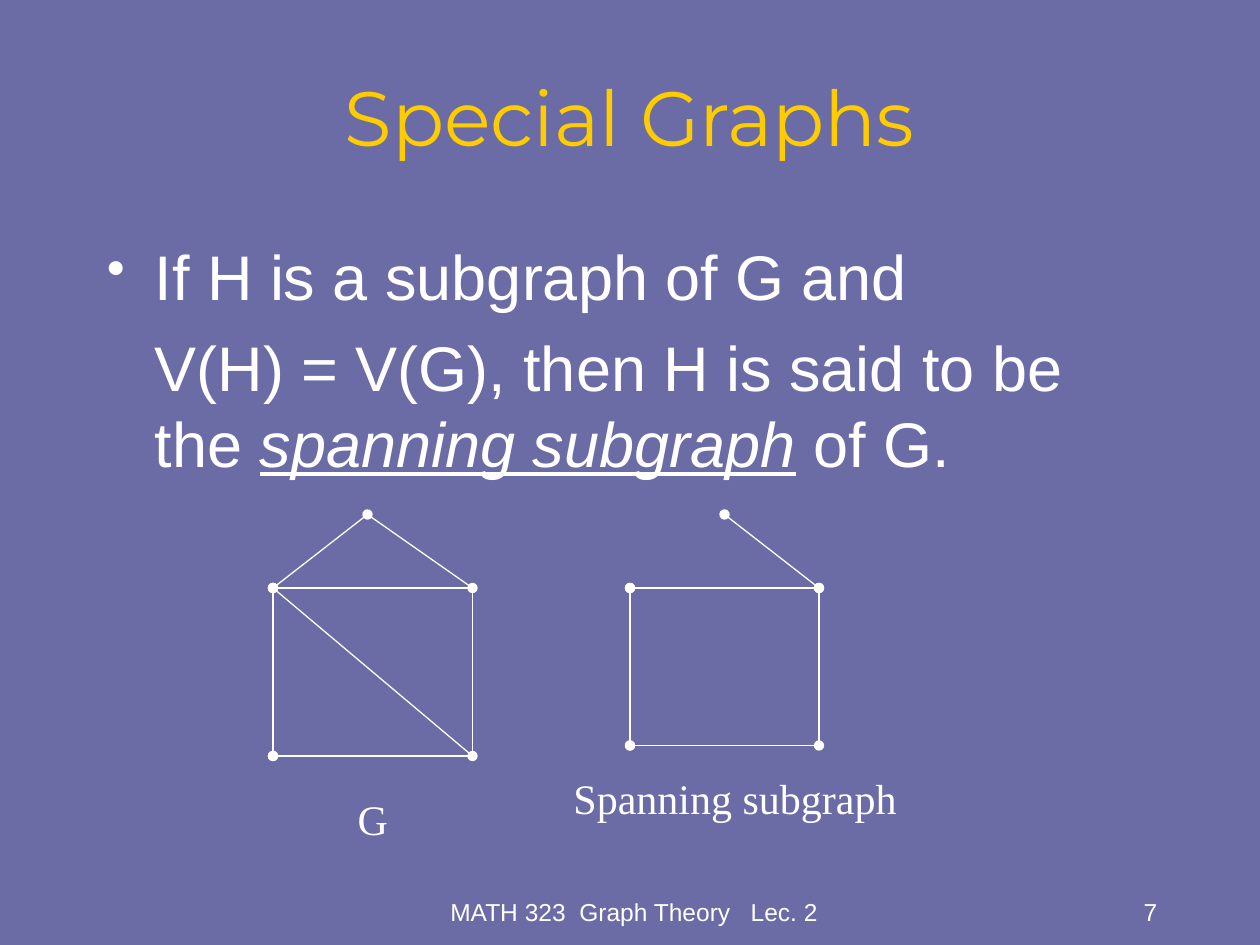
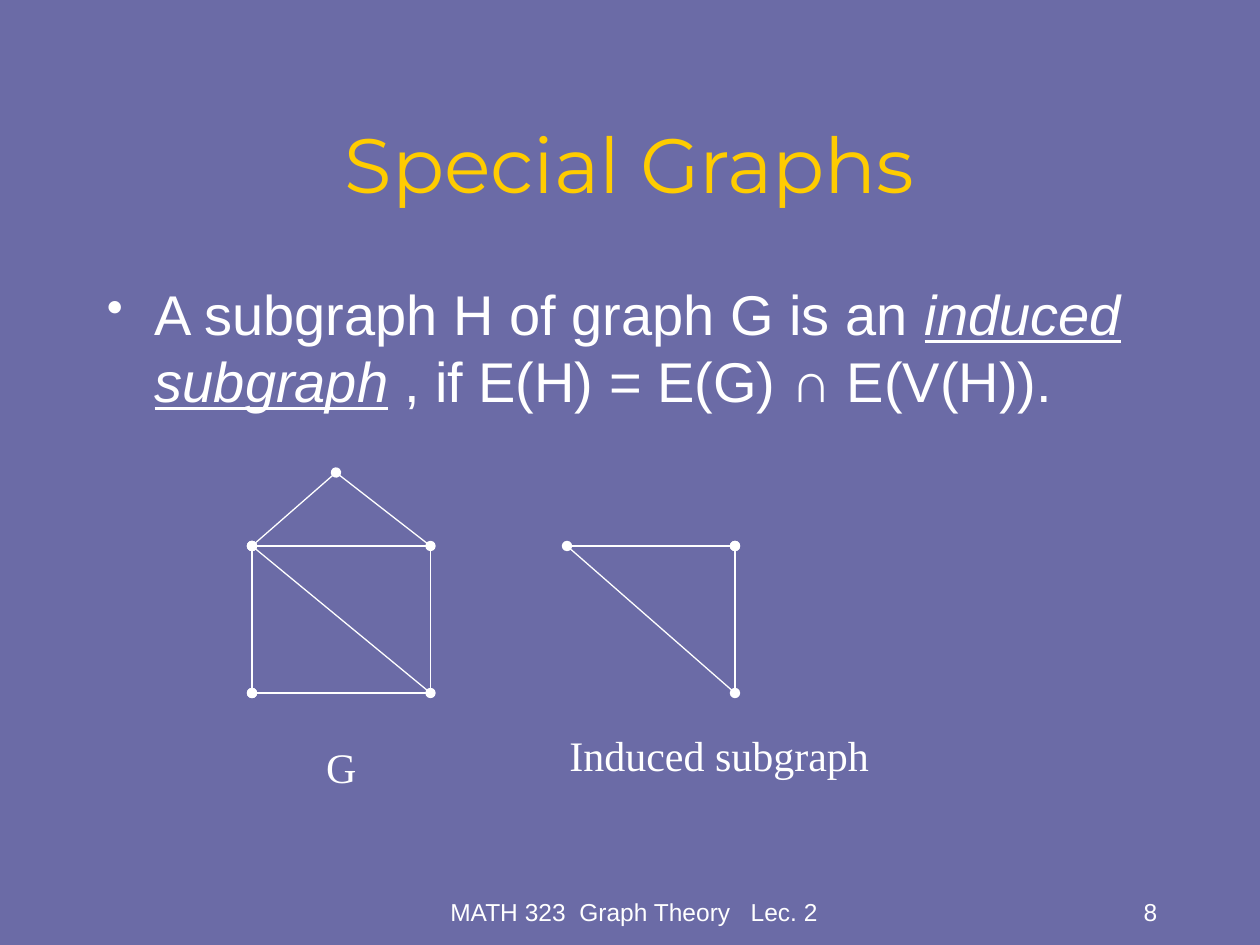
from collections import namedtuple
from dataclasses import dataclass

from lxml import etree
from pptx import Presentation
from pptx.dml.color import RGBColor
from pptx.enum.shapes import MSO_CONNECTOR
from pptx.enum.text import MSO_ANCHOR, PP_ALIGN
from pptx.oxml.ns import qn
from pptx.util import Inches, Pt

LEFT, CENTER, RIGHT = PP_ALIGN.LEFT, PP_ALIGN.CENTER, PP_ALIGN.RIGHT
TOP, MIDDLE, BOTTOM = MSO_ANCHOR.TOP, MSO_ANCHOR.MIDDLE, MSO_ANCHOR.BOTTOM
STRAIGHT = MSO_CONNECTOR.STRAIGHT

# The grid has twelve cells to the inch; boxes are given in cells
CELL = Inches(1) // 12
COLUMNS, ROWS = 120, 90
Box = namedtuple("Box", "left top width height")


@dataclass(frozen=True)
class Theme:
    background: RGBColor = RGBColor(0x6B, 0x6B, 0xA6)
    title: RGBColor = RGBColor(0xFF, 0xCC, 0x00)
    ink: RGBColor = RGBColor(0xFF, 0xFF, 0xFF)
    title_font: str = "Montserrat"
    body_font: str = "Arial"
    label_font: str = "Times New Roman"
    title_size: int = 44
    label_size: int = 24
    footer_size: int = 14
    line_width: float = 0.75


THEME = Theme()
HANGING = Inches(0.38)
FOOTER = Box(41.4, 82.8, 38, 6)
NUMBER = Box(86.4, 82.8, 25, 6)

# Edges between the corners of a house; the roof is always seven rows high
ROOF = 7
TOP_EDGE, LEFT_EDGE = ("top left", "top right"), ("top left", "bottom left")
BOTTOM_EDGE, RIGHT_EDGE = ("bottom left", "bottom right"), ("bottom right", "top right")
ROOF_LEFT, ROOF_RIGHT = ("top left", "apex"), ("top right", "apex")
DIAGONAL = ("top left", "bottom right")
SQUARE = [TOP_EDGE, LEFT_EDGE, BOTTOM_EDGE, RIGHT_EDGE]
WHOLE = SQUARE + [ROOF_LEFT, ROOF_RIGHT, DIAGONAL]
SPANNING = SQUARE + [ROOF_RIGHT]
INDUCED = [TOP_EDGE, RIGHT_EDGE, DIAGONAL]


def cells(*counts):
    return [round(count * CELL) for count in counts]


def style(font, name, size, color):
    font.name, font.size = name, Pt(size)
    font.color.rgb = color


def add_text(page, box, text, name, size, color=THEME.ink, align=CENTER, anchor=TOP):
    frame = page.shapes.add_textbox(*cells(*box)).text_frame
    frame.word_wrap = True
    frame.vertical_anchor = anchor
    para = frame.paragraphs[0]
    para.text, para.alignment = text, align
    style(para.runs[0].font, name, size, color)


def add_bullet(para):
    props = para._p.get_or_add_pPr()
    color = etree.SubElement(props, qn("a:buClr"))
    etree.SubElement(color, qn("a:srgbClr"), val=str(THEME.ink))
    etree.SubElement(props, qn("a:buSzPct"), val="85000")
    etree.SubElement(props, qn("a:buChar"), char="•")


def add_body(page, box, paragraphs, size):
    """Each paragraph is a list of spans; odd spans are defined terms."""
    frame = page.shapes.add_textbox(*cells(*box)).text_frame
    frame.word_wrap = True
    for row, spans in enumerate(paragraphs):
        para = frame.add_paragraph() if row else frame.paragraphs[0]
        props = para._p.get_or_add_pPr()
        props.set("marL", str(HANGING))
        if row:
            para.space_before = Pt(size / 4)
        else:
            props.set("indent", str(-HANGING))
            add_bullet(para)
        for index, text in enumerate(spans):
            span = para.add_run()
            span.text = text
            style(span.font, THEME.body_font, size, THEME.ink)
            if index % 2:
                span.font.italic = span.font.underline = True


def add_edge(page, start, end, dotted):
    edge = page.shapes.add_connector(STRAIGHT, *cells(*start, *end))
    edge.line.color.rgb = THEME.ink
    edge.line.width = Pt(THEME.line_width)
    if dotted:
        line = edge.line._get_or_add_ln()
        for tip in ("a:headEnd", "a:tailEnd"):
            etree.SubElement(line, qn(tip), type="oval")
    etree.SubElement(edge._element.spPr, qn("a:effectLst"))


def add_graph(page, box, edges, label, label_box):
    right, bottom = box.left + box.width, box.top + box.height
    eaves = box.top + ROOF
    vertices = {
        "apex": (box.left + box.width // 2, box.top),
        "top left": (box.left, eaves), "top right": (right, eaves),
        "bottom left": (box.left, bottom), "bottom right": (right, bottom),
    }
    # An edge carries dots when it reaches a vertex that has none yet
    marked = set()
    for edge in edges:
        dotted = not marked.issuperset(edge)
        if dotted:
            marked.update(edge)
        add_edge(page, *(vertices[name] for name in edge), dotted)
    add_text(page, label_box, label, THEME.label_font, THEME.label_size)


def add_page(deck, number, title_top, body_top, paragraphs, size, graphs):
    page = deck.slides.add_slide(deck.slide_layouts[6])
    page.background.fill.solid()
    page.background.fill.fore_color.rgb = THEME.background
    # Title and definition
    add_text(page, Box(9, title_top, 102, 10), "Special Graphs", THEME.title_font,
             THEME.title_size, THEME.title, anchor=MIDDLE)
    add_body(page, Box(9, body_top, 102, 54), paragraphs, size)
    # Footer
    for box, text, align in ((FOOTER, "MATH 323  Graph Theory   Lec. 2", CENTER),
                             (NUMBER, str(number), RIGHT)):
        add_text(page, box, text, THEME.body_font, THEME.footer_size,
                 align=align, anchor=BOTTOM)
    # Graphs
    for graph in graphs:
        add_graph(page, *graph)


def main():
    deck = Presentation()
    deck.slide_width, deck.slide_height = cells(COLUMNS, ROWS)
    add_page(
        deck, 7, 6, 22,
        [["If H is a subgraph of G and"],
         ["V(H) = V(G), then H is said to be the ", "spanning subgraph", " of G."]],
        36,
        [(Box(26, 49, 19, 23), WHOLE, "G", Box(32, 75, 7, 6)),
         (Box(60, 49, 18, 22), SPANNING, "Spanning subgraph", Box(53, 73, 34, 6))])
    add_page(
        deck, 8, 10.5, 26,
        [["A subgraph H of graph G is an ", "induced subgraph",
          " , if E(H) = E(G) ∩ E(V(H))."]],
        32,
        [(Box(24, 45, 17, 21), WHOLE, "G", Box(29, 70, 7, 6)),
         (Box(54, 45, 16, 21), INDUCED, "Induced subgraph", Box(53, 68.9, 31, 6))])
    deck.save("out.pptx")


if __name__ == "__main__":
    main()
